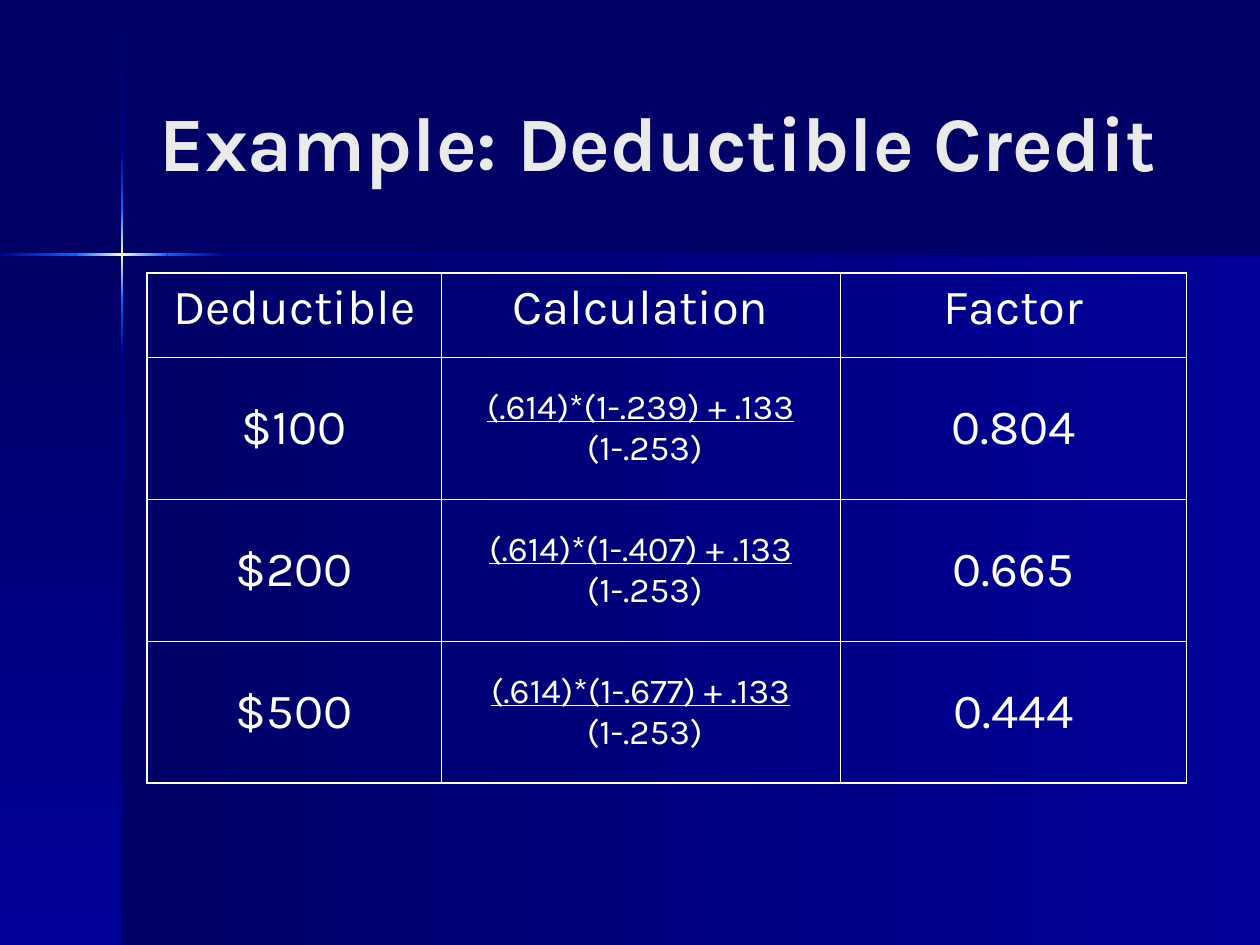
from lxml import etree
from pptx import Presentation
from pptx.dml.color import RGBColor
from pptx.enum.shapes import MSO_SHAPE
from pptx.enum.text import MSO_ANCHOR, MSO_AUTO_SIZE, PP_ALIGN
from pptx.oxml.ns import qn
from pptx.util import Cm, Pt

RECTANGLE = MSO_SHAPE.RECTANGLE
TOP, MIDDLE = MSO_ANCHOR.TOP, MSO_ANCHOR.MIDDLE
LEFT, CENTER = PP_ALIGN.LEFT, PP_ALIGN.CENTER
NO_AUTOFIT = MSO_AUTO_SIZE.NONE

NAVY = RGBColor(0x00, 0x00, 0x66)
BLUE = RGBColor(0x00, 0x00, 0x99)
BRIGHT = RGBColor(0x00, 0x66, 0xFF)
GLOW = RGBColor(0xFF, 0xFF, 0xCC)
TITLE_GRAY = RGBColor(0xEA, 0xEA, 0xEA)
WHITE = RGBColor(0xFF, 0xFF, 0xFF)
FONT = "Karla"

WIDTH, HEIGHT = 25.4, 19.05
AXIS_X, AXIS_Y = 2.46, 5.13
BEAM = 0.05


def add_gradient_box(slide, left, top, width, height, colors, downward):
    """Draw a rectangle shaded evenly through colors, rightward or downward."""
    shape = slide.shapes.add_shape(RECTANGLE, Cm(left), Cm(top), Cm(width), Cm(height))
    shape.shadow.inherit = False
    shape.line.fill.background()
    shape.fill.gradient()
    shape.fill.gradient_angle = 270 if downward else 0
    stops = shape._element.spPr.find(qn("a:gradFill")).find(qn("a:gsLst"))
    for stop in list(stops):
        stops.remove(stop)
    for index, color in enumerate(colors):
        position = 100000 * index // (len(colors) - 1)
        stop = etree.SubElement(stops, qn("a:gs"), pos=str(position))
        etree.SubElement(stop, qn("a:srgbClr"), val=str(color))


def add_run(paragraph, text, size, color, bold=False, underline=False):
    run = paragraph.add_run()
    run.text = text
    run.font.name = FONT
    run.font.size = Pt(size)
    run.font.color.rgb = color
    run.font.bold = bold
    run.font.underline = underline


presentation = Presentation()
presentation.slide_width = Cm(WIDTH)
presentation.slide_height = Cm(HEIGHT)
slide = presentation.slides.add_slide(presentation.slide_layouts[5])
slide.background.fill.solid()
slide.background.fill.fore_color.rgb = NAVY

# Shaded panels below the horizon
panel_height = HEIGHT - AXIS_Y
add_gradient_box(slide, AXIS_X, AXIS_Y, WIDTH - AXIS_X, panel_height, [NAVY, BLUE], False)
add_gradient_box(slide, 0, AXIS_Y, AXIS_X, panel_height, [NAVY, BLUE], True)

# Light beams crossing at the corner of the panels
beam_colors = [[NAVY, BLUE], [BLUE, BRIGHT], [BRIGHT, GLOW, BRIGHT], [BRIGHT, BLUE], [BLUE, NAVY]]
vertical_edges = [0.03, 3.07, 4.19, 6.05, 7.16, HEIGHT]
horizontal_edges = [0, 1.52, 3.38, 4.5, WIDTH]
for start, end, colors in zip(vertical_edges, vertical_edges[1:], beam_colors):
    add_gradient_box(slide, AXIS_X - BEAM / 2, start, BEAM, end - start, colors, True)
for start, end, colors in zip(horizontal_edges, horizontal_edges[1:], beam_colors[1:]):
    add_gradient_box(slide, start, AXIS_Y - BEAM / 2, end - start, BEAM, colors, False)

# Title
title = slide.shapes.title
title.left, title.top, title.width, title.height = Cm(2.97), Cm(0.84), Cm(20.95), Cm(3.99)
title.text_frame.word_wrap = True
title.text_frame.auto_size = NO_AUTOFIT
title.text_frame.vertical_anchor = MIDDLE
title_paragraph = title.text_frame.paragraphs[0]
title_paragraph.alignment = LEFT
add_run(title_paragraph, "Example: Deductible Credit", 44, TITLE_GRAY, bold=True)

# Table of deductible factors: a pair is a numerator over a denominator
rows = [
    ("Deductible", "Calculation", "Factor"),
    ("$100", ("(.614)*(1-.239) + .133", " (1-.253)"), "0.804"),
    ("$200", ("(.614)*(1-.407) + .133", " (1-.253)"), "0.665"),
    ("$500", ("(.614)*(1-.677) + .133", " (1-.253)"), "0.444"),
]
column_widths = [5.92, 8.05, 6.98]
row_heights = [1.7, 2.86, 2.86, 2.86]
last_row, last_column = len(rows) - 1, len(column_widths) - 1
table = slide.shapes.add_table(
    len(rows), len(column_widths), Cm(2.97), Cm(5.51),
    Cm(sum(column_widths)), Cm(sum(row_heights)),
).table
table.first_row = False
table.horz_banding = False
for column, width in zip(table.columns, column_widths):
    column.width = Cm(width)
for row, height in zip(table.rows, row_heights):
    row.height = Cm(height)

for row_index, row in enumerate(rows):
    for column_index, content in enumerate(row):
        cell = table.cell(row_index, column_index)
        cell.vertical_anchor = TOP if row_index == 0 else MIDDLE
        paragraph = cell.text_frame.paragraphs[0]
        paragraph.alignment = CENTER
        if isinstance(content, tuple):
            numerator, denominator = content
            add_run(paragraph, numerator, 20, WHITE, underline=True)
            paragraph.add_line_break()
            add_run(paragraph, denominator, 20, WHITE)
        else:
            add_run(paragraph, content, 28, WHITE)

        # Borders: heavier around the outside of the table
        outer_sides = {
            "a:lnL": column_index == 0,
            "a:lnR": column_index == last_column,
            "a:lnT": row_index == 0,
            "a:lnB": row_index == last_row,
        }
        properties = cell._tc.get_or_add_tcPr()
        for side, is_outer in outer_sides.items():
            border = etree.SubElement(properties, qn(side), w=str(Pt(1.08 if is_outer else 0.45)))
            border_fill = etree.SubElement(border, qn("a:solidFill"))
            etree.SubElement(border_fill, qn("a:srgbClr"), val=str(WHITE))
        cell.fill.background()

presentation.save("out.pptx")
